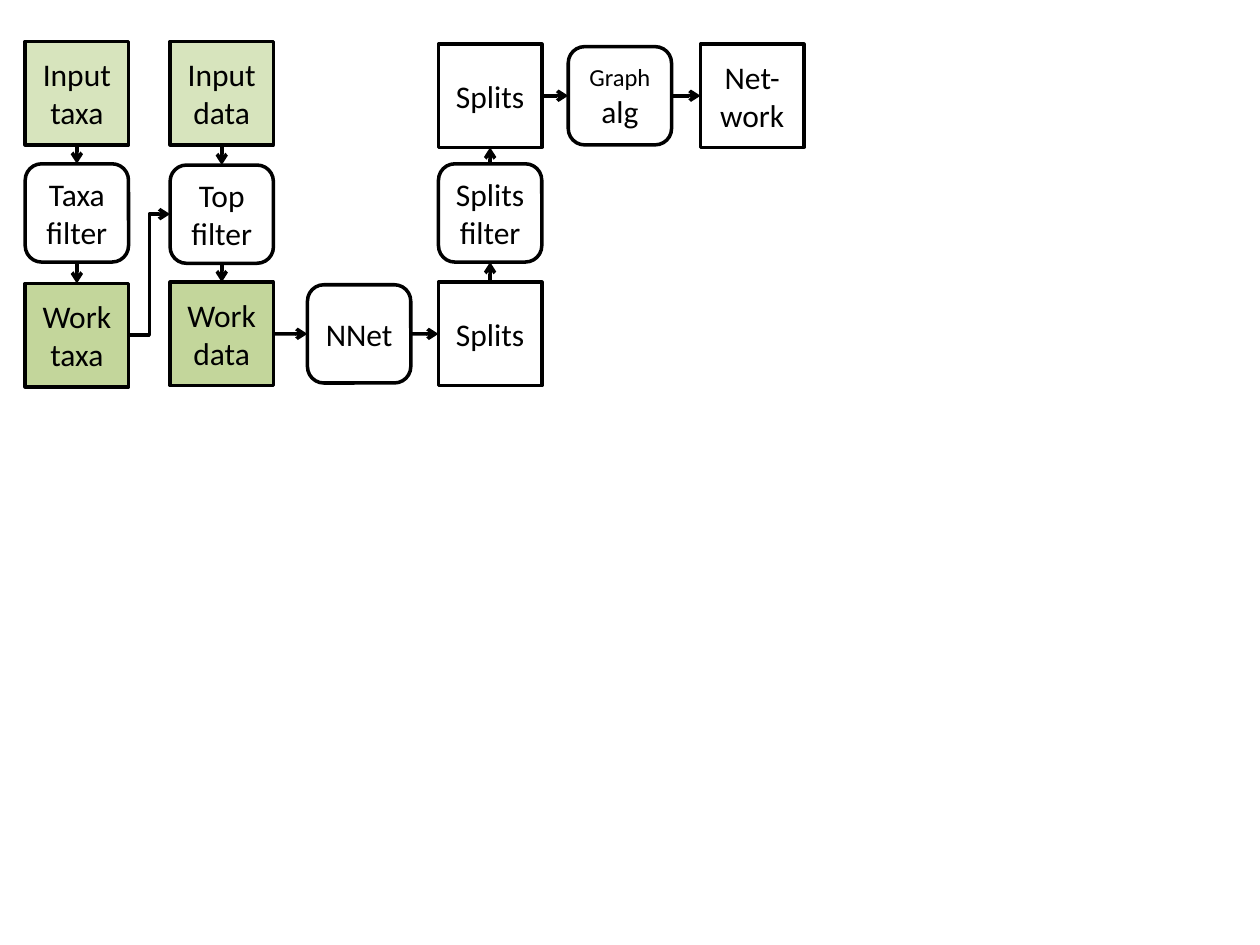
from dataclasses import dataclass

from lxml import etree
from pptx import Presentation
from pptx.dml.color import RGBColor
from pptx.enum.shapes import MSO_CONNECTOR, MSO_SHAPE
from pptx.enum.text import MSO_ANCHOR, PP_ALIGN
from pptx.oxml.ns import qn
from pptx.shapes.autoshape import Shape
from pptx.slide import Slide
from pptx.util import Inches, Pt

RECTANGLE = MSO_SHAPE.RECTANGLE
ROUNDED = MSO_SHAPE.ROUNDED_RECTANGLE
STRAIGHT = MSO_CONNECTOR.STRAIGHT
ELBOW = MSO_CONNECTOR.ELBOW
CENTER = PP_ALIGN.CENTER
MIDDLE = MSO_ANCHOR.MIDDLE
TOP, LEFT, BOTTOM, RIGHT = range(4)


@dataclass(frozen=True)
class Theme:
    font: str = "Calibri"
    text_size: Pt = Pt(18)
    small_size: Pt = Pt(14)
    line_width: Pt = Pt(2)
    ink: RGBColor = RGBColor(0x00, 0x00, 0x00)
    white: RGBColor = RGBColor(0xFF, 0xFF, 0xFF)
    input_green: RGBColor = RGBColor(0xD7, 0xE4, 0xBD)
    work_green: RGBColor = RGBColor(0xC3, 0xD6, 0x9B)


THEME = Theme()
NODE_WIDTH = 0.82
DATA_HEIGHT = 0.82
STEP_HEIGHT = 0.78
TAXA_X, DATA_X, METHOD_X, SPLITS_X, GRAPH_X, NETWORK_X = 0.2, 1.35, 2.44, 3.48, 4.51, 5.56


@dataclass(frozen=True)
class Node:
    key: str
    left: float
    top: float
    lines: tuple[str, ...]
    fill: RGBColor = THEME.white
    is_step: bool = False
    small_lead: str = ""


@dataclass(frozen=True)
class Link:
    source: str
    source_side: int
    target: str
    target_side: int
    kind: MSO_CONNECTOR = STRAIGHT


NODES = (
    Node("input taxa", TAXA_X, 0.33, ("Input taxa",), THEME.input_green),
    Node("input data", DATA_X, 0.33, ("Input", "data"), THEME.input_green),
    Node("work taxa", TAXA_X, 2.25, ("Work taxa",), THEME.work_green),
    Node("work data", DATA_X, 2.24, ("Work", "data"), THEME.work_green),
    Node("taxa filter", TAXA_X, 1.3, ("Taxa filter",), is_step=True),
    Node("top filter", DATA_X, 1.31, ("Top", "filter"), is_step=True),
    Node("neighbor net", METHOD_X, 2.26, ("NNet",), is_step=True),
    Node("splits", SPLITS_X, 2.24, ("Splits",)),
    Node("splits filter", SPLITS_X, 1.3, ("Splits", "filter"), is_step=True),
    Node("filtered splits", SPLITS_X, 0.35, ("Splits",)),
    Node("graph algorithm", GRAPH_X, 0.37, ("alg",), is_step=True, small_lead="Graph "),
    Node("network", NETWORK_X, 0.35, ("Net-work",)),
)

LINKS = (
    Link("input taxa", BOTTOM, "taxa filter", TOP),
    Link("taxa filter", BOTTOM, "work taxa", TOP),
    Link("input data", BOTTOM, "top filter", TOP),
    Link("top filter", BOTTOM, "work data", TOP),
    Link("work taxa", RIGHT, "top filter", LEFT, ELBOW),
    Link("work data", RIGHT, "neighbor net", LEFT),
    Link("neighbor net", RIGHT, "splits", LEFT),
    Link("splits", TOP, "splits filter", BOTTOM),
    Link("splits filter", TOP, "filtered splits", BOTTOM),
    Link("filtered splits", RIGHT, "graph algorithm", LEFT),
    Link("graph algorithm", RIGHT, "network", LEFT),
)


def draw_node(slide: Slide, node: Node) -> Shape:
    shape = slide.shapes.add_shape(
        ROUNDED if node.is_step else RECTANGLE,
        Inches(node.left),
        Inches(node.top),
        Inches(NODE_WIDTH),
        Inches(STEP_HEIGHT if node.is_step else DATA_HEIGHT),
    )
    shape.shadow.inherit = False
    shape.fill.solid()
    shape.fill.fore_color.rgb = node.fill
    shape.line.color.rgb = THEME.ink
    shape.line.width = THEME.line_width
    frame = shape.text_frame
    frame.word_wrap = True
    frame.vertical_anchor = MIDDLE
    for index, line in enumerate(node.lines):
        paragraph = frame.paragraphs[0] if index == 0 else frame.add_paragraph()
        paragraph.alignment = CENTER
        paragraph.font.name = THEME.font
        paragraph.font.size = THEME.text_size
        paragraph.font.color.rgb = THEME.ink
        if index == 0 and node.small_lead:
            lead = paragraph.add_run()
            lead.text = node.small_lead
            lead.font.size = THEME.small_size
        paragraph.add_run().text = line
    return shape


def draw_link(slide: Slide, link: Link, shapes: dict[str, Shape]) -> None:
    connector = slide.shapes.add_connector(link.kind, 0, 0, 0, 0)
    connector.begin_connect(shapes[link.source], link.source_side)
    connector.end_connect(shapes[link.target], link.target_side)
    connector.line.color.rgb = THEME.ink
    connector.line.width = THEME.line_width
    properties = connector._element.spPr
    etree.SubElement(properties.find(qn("a:ln")), qn("a:tailEnd"), type="arrow")
    etree.SubElement(properties, qn("a:effectLst"))


def main() -> None:
    presentation = Presentation()
    presentation.slide_width = Inches(10)
    presentation.slide_height = Inches(7.5)
    slide = presentation.slides.add_slide(presentation.slide_layouts[6])
    shapes = {node.key: draw_node(slide, node) for node in NODES}
    for link in LINKS:
        draw_link(slide, link, shapes)
    presentation.save("out.pptx")


if __name__ == "__main__":
    main()
